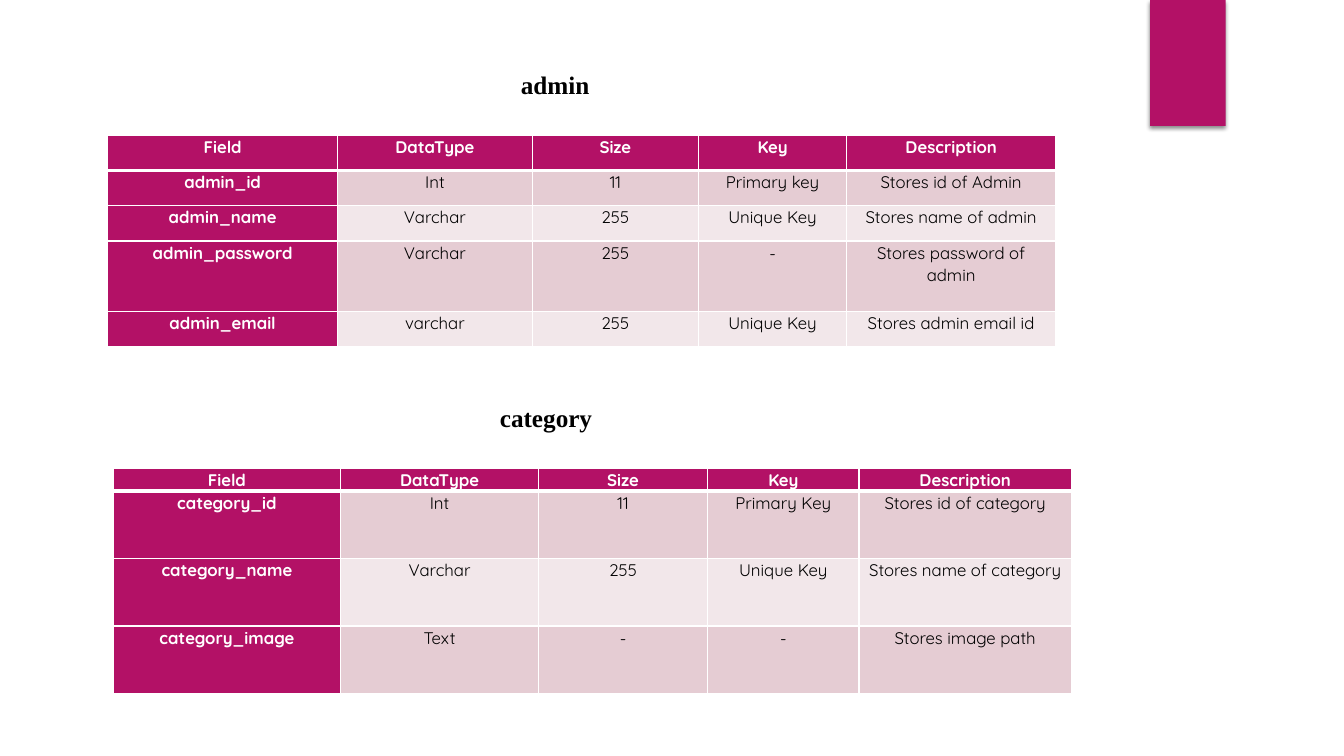
from lxml import etree
from pptx import Presentation
from pptx.dml.color import RGBColor
from pptx.enum.shapes import MSO_SHAPE
from pptx.enum.text import PP_ALIGN
from pptx.oxml.ns import qn
from pptx.util import Pt

RECT = MSO_SHAPE.RECTANGLE
CENTER = PP_ALIGN.CENTER

MAGENTA, WHITE, BLACK = "B31166", "FFFFFF", "000000"
BANDS = ("E5CCD3", "F2E7EA")
HEADER = ("Field", "DataType", "Size", "Key", "Description")

# Boxes are left, top, width, height in points
TABLES = [
    {
        "title": "admin", "title_box": (365, 46, 190.8, 28.8), "wrap": True,
        "at": (77, 96.5),
        "cols": (164.2, 139, 118.8, 105.8, 149.4),
        "row_heights": (25.2, 25.2, 25.2, 50.4, 25.2),
        "rows": [
            ("admin_id", "Int", "11", "Primary key", "Stores id of Admin"),
            ("admin_name", "Varchar", "255", "Unique Key", "Stores name of admin"),
            ("admin_password", "Varchar", "255", "-", "Stores password of admin"),
            ("admin_email", "varchar", "255", "Unique Key", "Stores admin email id"),
        ],
    },
    {
        "title": "category", "title_box": (350, 283.7, 81.4, 51.1), "wrap": False,
        "at": (80.8, 334.8),
        "cols": (162.7, 141.1, 121, 108, 151.9),
        "row_heights": (16, 48.2, 48.2, 48.2),
        "rows": [
            ("category_id", "Int", "11", "Primary Key", "Stores id of category"),
            ("category_name", "Varchar", "255", "Unique Key", "Stores name of category"),
            ("category_image", "Text", "-", "-", "Stores image path"),
        ],
    },
]


def rgb(color):
    return RGBColor.from_string(color)


def style_run(r, font, size, color, bold):
    r.font.name, r.font.size, r.font.bold = font, Pt(size), bold
    r.font.color.rgb = rgb(color)


def add_color(parent, color):
    fill = etree.SubElement(parent, qn("a:solidFill"))
    etree.SubElement(fill, qn("a:srgbClr"), val=color)


def set_borders(cell, widths):
    """Draw white borders; widths are left, right, top and bottom."""
    tc_pr = cell._tc.get_or_add_tcPr()
    for i, (side, width) in enumerate(zip("LRTB", widths)):
        ln = etree.Element(qn(f"a:ln{side}"), w=str(Pt(width)))
        add_color(ln, WHITE)
        tc_pr.insert(i, ln)


def add_title(slide, text, box, wrap):
    tf = slide.shapes.add_textbox(*map(Pt, box)).text_frame
    tf.word_wrap = wrap
    tf.text = text
    style_run(tf.paragraphs[0].runs[0], "Times New Roman", 18, BLACK, True)


def fill_cell(cell, text, row, col):
    strong = row == 0 or col == 0
    cell.fill.solid()
    cell.fill.fore_color.rgb = rgb(MAGENTA if strong else BANDS[(row - 1) % 2])
    set_borders(cell, (1, 1, 3 if row == 1 else 1, 3 if row == 0 else 1))
    cell.margin_left = cell.margin_right = Pt(5)
    cell.margin_top = cell.margin_bottom = 0
    cell.text_frame.text = text
    p = cell.text_frame.paragraphs[0]
    p.alignment, p.line_spacing = CENTER, 1.07
    style_run(p.runs[0], "Quicksand", 12, WHITE if strong else BLACK, strong)


def add_field_table(slide, data):
    rows = [HEADER] + data["rows"]
    cols, heights = data["cols"], data["row_heights"]
    box = (*data["at"], sum(cols), sum(heights))
    table = slide.shapes.add_table(len(rows), len(cols), *map(Pt, box)).table
    for column, width in zip(table.columns, cols):
        column.width = Pt(width)
    for i, (values, height) in enumerate(zip(rows, heights)):
        table.rows[i].height = Pt(height)
        for j, text in enumerate(values):
            fill_cell(table.cell(i, j), text, i, j)


def add_corner_tab(slide):
    sp = slide.shapes.add_shape(RECT, *map(Pt, (821.5, 0, 54, 90)))
    sp.fill.solid()
    sp.fill.fore_color.rgb = rgb(MAGENTA)
    sp.line.fill.background()
    sp.shadow.inherit = False
    effects = sp._element.spPr.find(qn("a:effectLst"))
    shadow = etree.SubElement(effects, qn("a:outerShdw"), blurRad=str(Pt(3)),
                              dist=str(Pt(2)), dir="5400000", rotWithShape="0")
    color = etree.SubElement(shadow, qn("a:srgbClr"), val=BLACK)
    etree.SubElement(color, qn("a:alpha"), val="45000")


def main():
    prs = Presentation()
    prs.slide_width, prs.slide_height = Pt(960), Pt(540)
    slide = prs.slides.add_slide(prs.slide_layouts[6])
    add_corner_tab(slide)
    for data in TABLES:
        add_title(slide, data["title"], data["title_box"], data["wrap"])
        add_field_table(slide, data)
    prs.save("out.pptx")


if __name__ == "__main__":
    main()
